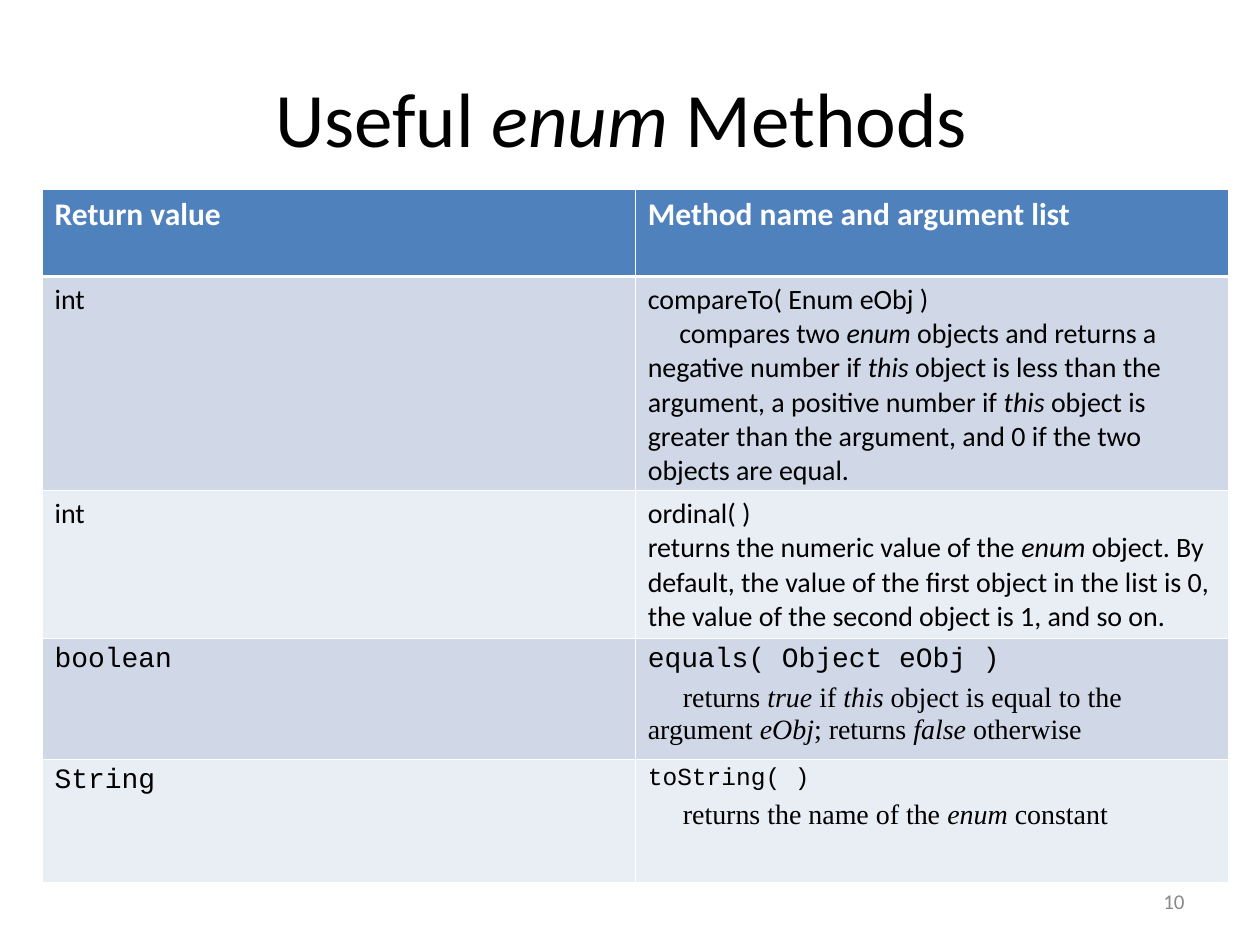
import pptx
import pptx.dml.color
import pptx.enum.text
import pptx.oxml
import pptx.oxml.ns
import pptx.util

Pt = pptx.util.Pt
COLORS = {
    "black": "000000",
    "white": "FFFFFF",
    "header": "4F81BD",
    "odd": "D0D8E8",
    "even": "E9EDF4",
    "number": "898989",
}
SANS, MONO, SERIF = "Calibri", "Courier New", "Times New Roman"
ROW_HEIGHTS = [50, 122.4, 84.2, 69.1, 70.6]
COLUMN_WIDTH = 339
THIN, THICK = 0.45, 1.47


def line(text, font=SANS, size=16, before=0, indent=0):
    return {"text": text, "font": font, "size": size, "before": before, "indent": indent}


ROWS = [
    ([line("Return value", size=18)], [line("Method name and argument list", size=18)]),
    (
        [line("int")],
        [
            line("compareTo( Enum eObj )"),
            line(
                "compares two *enum* objects and returns a negative number if *this* "
                "object is less than the argument, a positive number if *this* object "
                "is greater than the argument, and 0 if the two objects are equal.",
                indent=18,
            ),
        ],
    ),
    (
        [line("int")],
        [
            line("ordinal( )"),
            line(
                "returns the numeric value of the *enum* object. By default, the value "
                "of the first object in the list is 0, the value of the second object "
                "is 1, and so on."
            ),
        ],
    ),
    (
        [line("boolean", MONO)],
        [
            line("equals( Object eObj )", MONO, before=4),
            line(
                "returns *true* if *this* object is equal to the argument *eObj*; "
                "returns *false* otherwise",
                SERIF, before=4, indent=20,
            ),
        ],
    ),
    (
        [line("String", MONO)],
        [
            line("toString( )", MONO, size=14, before=3.5),
            line("returns the name of the *enum* constant", SERIF, before=4, indent=20),
        ],
    ),
]


def rgb(name):
    return pptx.dml.color.RGBColor.from_string(COLORS[name])


def write_paragraph(paragraph, content, color, bold=False):
    for index, part in enumerate(content["text"].split("*")):
        run = paragraph.add_run()
        run.text = part
        if index % 2:
            run.font.italic = True
    font = paragraph.font
    font.name = content["font"]
    font.size = Pt(content["size"])
    font.bold = bold
    font.color.rgb = rgb(color)
    paragraph.space_before = Pt(content["before"])
    if content["indent"]:
        paragraph._p.get_or_add_pPr().set("indent", str(Pt(content["indent"])))


def set_borders(cell, top, bottom):
    properties = cell._tc.get_or_add_tcPr()
    widths = {"lnL": THIN, "lnR": THIN, "lnT": top, "lnB": bottom}
    for index, (tag, width) in enumerate(widths.items()):
        border = pptx.oxml.parse_xml(
            f'<a:{tag} {pptx.oxml.ns.nsdecls("a")} w="{Pt(width)}"><a:solidFill>'
            f'<a:srgbClr val="{COLORS["white"]}"/></a:solidFill></a:{tag}>'
        )
        properties.insert(index, border)


def fill_cell(cell, lines, row_index):
    is_header = row_index == 0
    cell.fill.solid()
    cell.fill.fore_color.rgb = rgb("header" if is_header else ("even", "odd")[row_index % 2])
    set_borders(cell, THICK if row_index == 1 else THIN, THICK if is_header else THIN)
    frame = cell.text_frame
    for index, content in enumerate(lines):
        paragraph = frame.add_paragraph() if index else frame.paragraphs[0]
        write_paragraph(paragraph, content, "white" if is_header else "black", is_header)


def add_title(slide):
    title = slide.shapes.title
    title.left, title.top, title.width, title.height = Pt(36), Pt(21.6), Pt(648), Pt(90)
    title.text_frame.vertical_anchor = pptx.enum.text.MSO_ANCHOR.MIDDLE
    paragraph = title.text_frame.paragraphs[0]
    paragraph.alignment = pptx.enum.text.PP_ALIGN.CENTER
    write_paragraph(paragraph, line("Useful *enum* Methods ", size=44), "black")


def add_methods_table(slide):
    shape = slide.shapes.add_table(
        len(ROWS), 2, Pt(24), Pt(108), Pt(2 * COLUMN_WIDTH), Pt(sum(ROW_HEIGHTS))
    )
    table = shape.table
    for column in table.columns:
        column.width = Pt(COLUMN_WIDTH)
    for row_index, (height, cells) in enumerate(zip(ROW_HEIGHTS, ROWS)):
        table.rows[row_index].height = Pt(height)
        for column_index, lines in enumerate(cells):
            fill_cell(table.cell(row_index, column_index), lines, row_index)


def add_slide_number(slide):
    box = slide.shapes.add_textbox(Pt(516), Pt(500.4), Pt(168), Pt(28.8))
    box.text_frame.word_wrap = True
    box.text_frame.vertical_anchor = pptx.enum.text.MSO_ANCHOR.MIDDLE
    paragraph = box.text_frame.paragraphs[0]
    paragraph.alignment = pptx.enum.text.PP_ALIGN.RIGHT
    write_paragraph(paragraph, line("10", size=12), "number")


def main():
    presentation = pptx.Presentation()
    presentation.slide_width, presentation.slide_height = Pt(720), Pt(540)
    slide = presentation.slides.add_slide(presentation.slide_layouts[5])
    add_title(slide)
    add_slide_number(slide)
    add_methods_table(slide)
    presentation.save("out.pptx")


if __name__ == "__main__":
    main()
